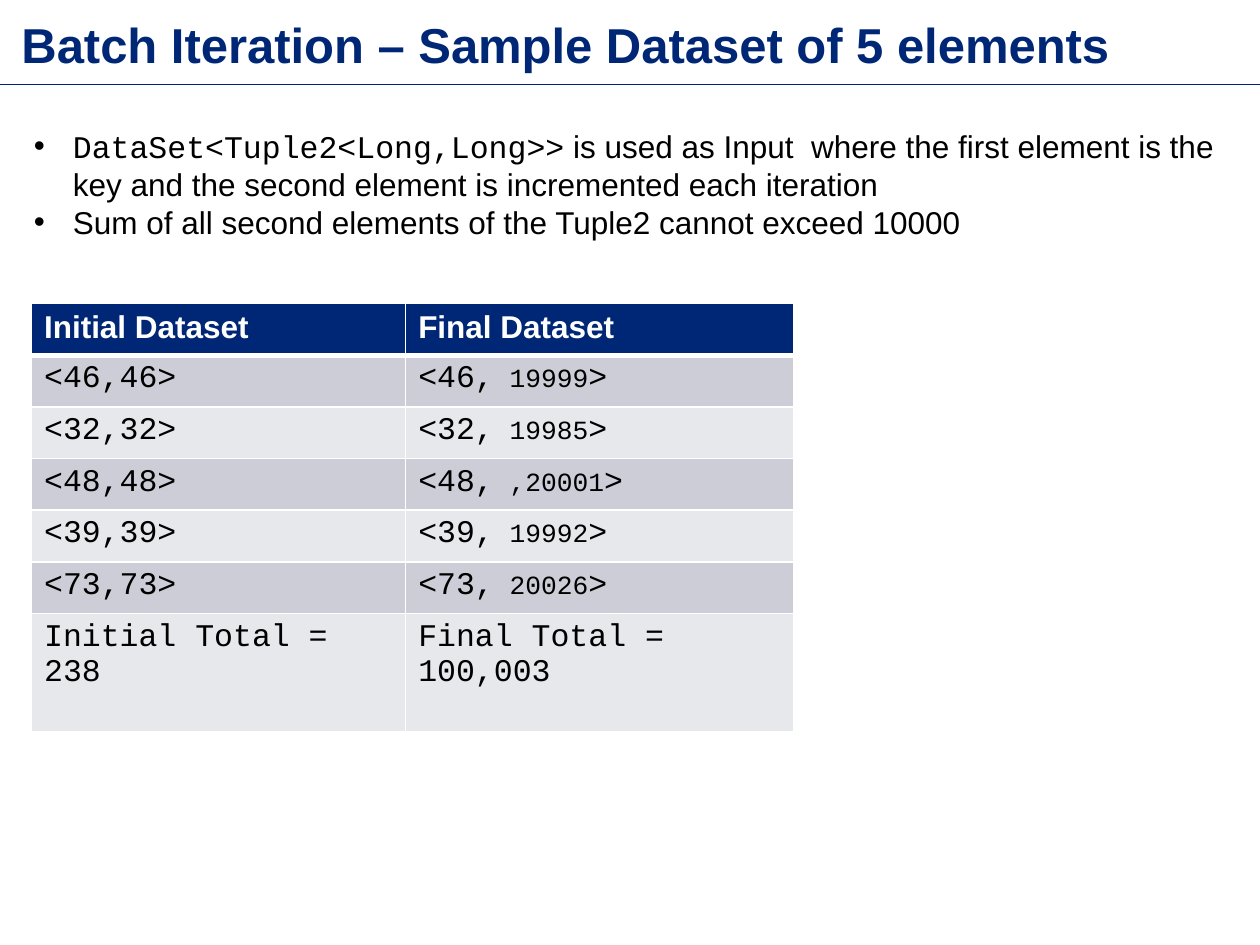
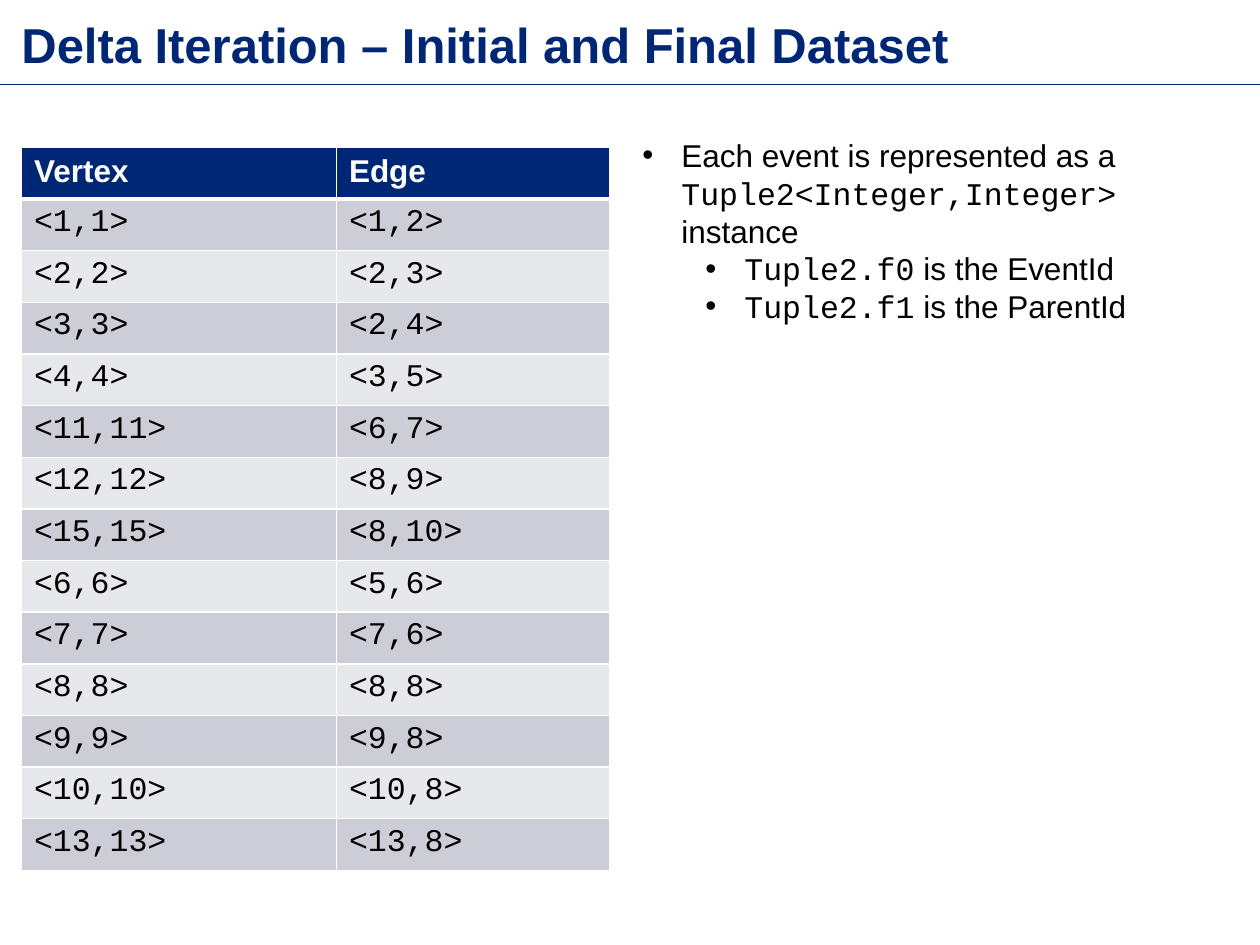
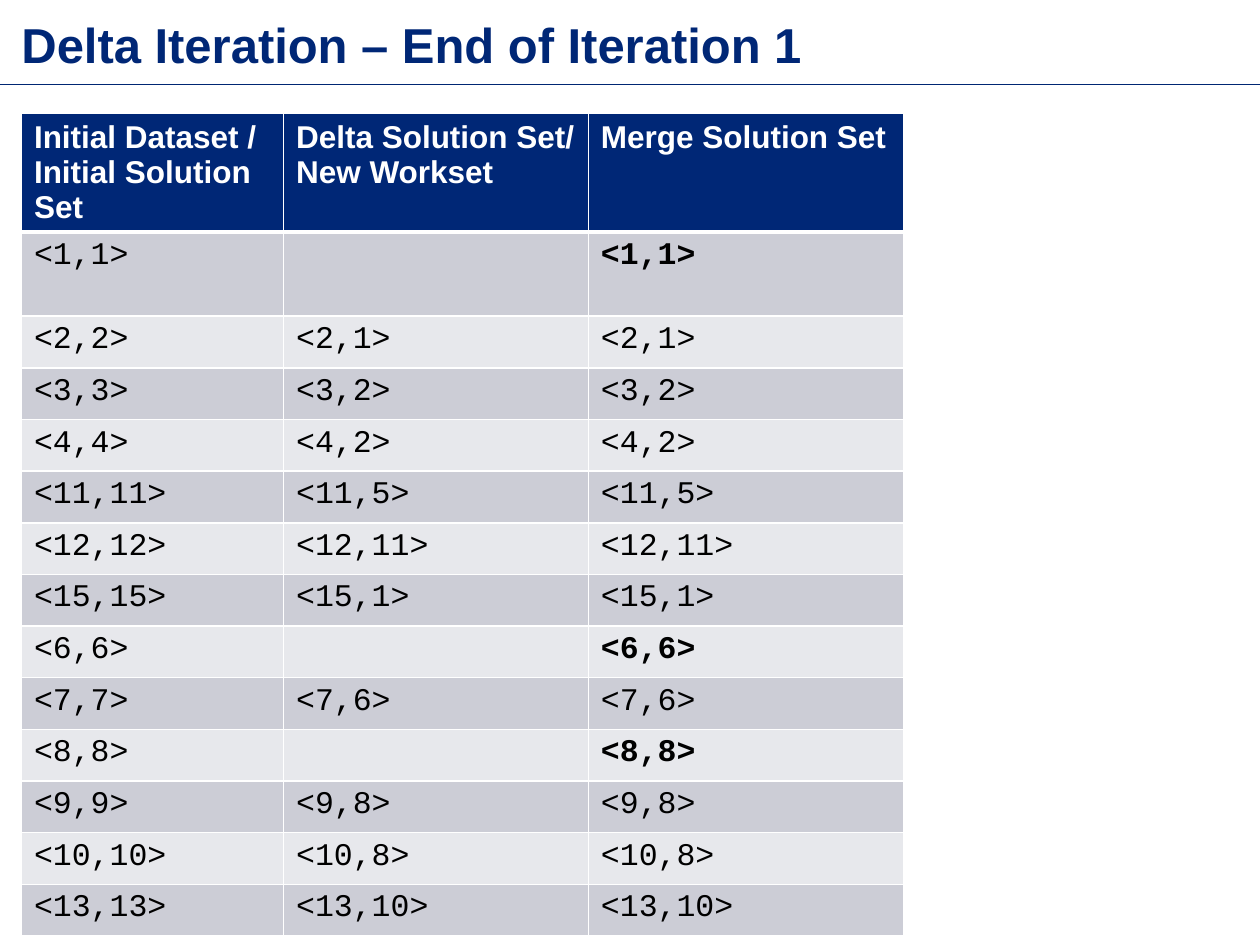
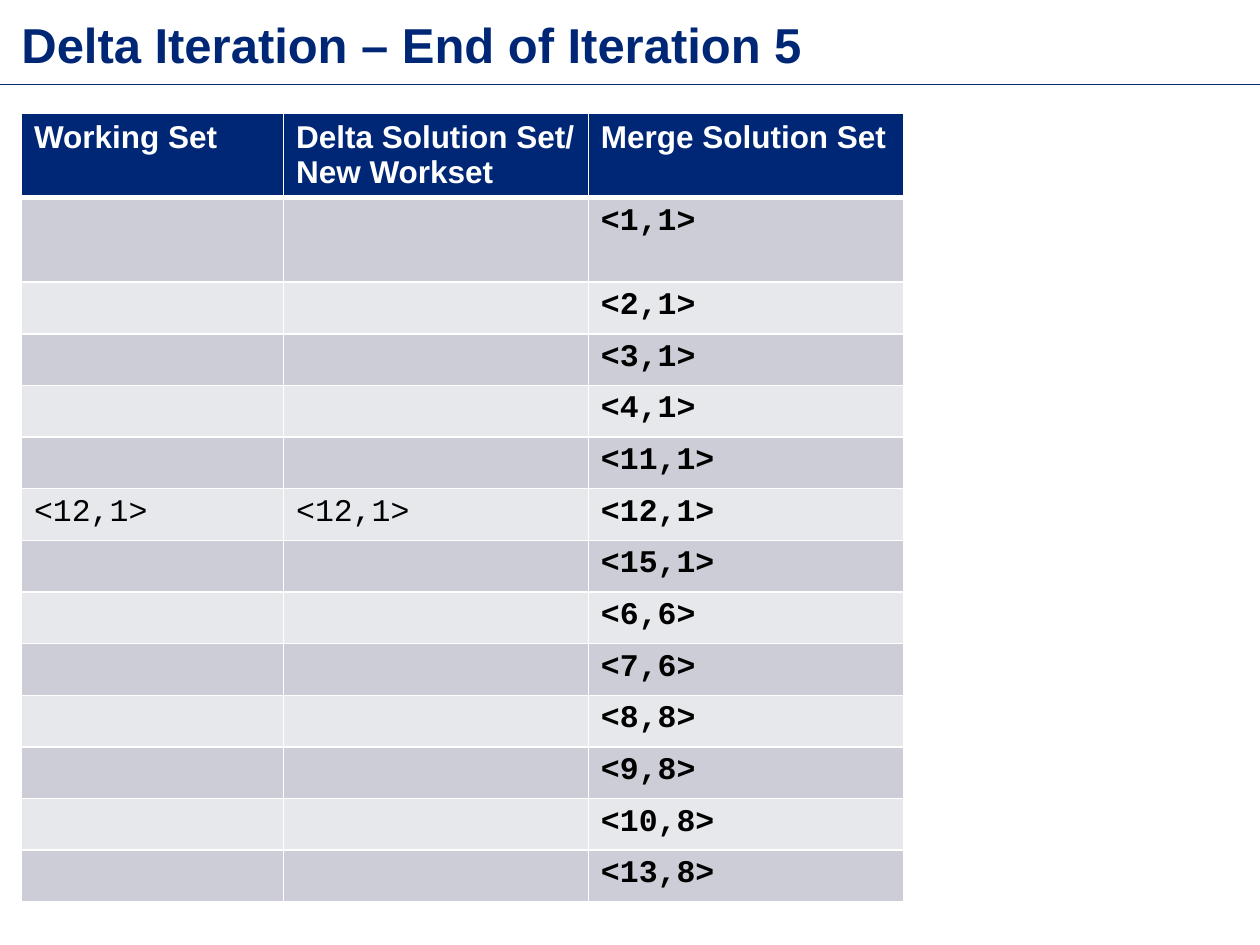
import pptx
import pptx.dml.color
import pptx.enum.shapes
import pptx.enum.text
import pptx.oxml.ns
import pptx.util
from lxml import etree
from pptx.dml.color import RGBColor
from pptx.util import Inches

NAVY = RGBColor(0x00, 0x27, 0x76)
RULE_BLUE = RGBColor(0x00, 0x26, 0x73)
WHITE = RGBColor(0xFF, 0xFF, 0xFF)
BLACK = RGBColor(0x00, 0x00, 0x00)
BANDS = (RGBColor(0xCC, 0xCD, 0xD6), RGBColor(0xE7, 0xE8, 0xEC))
SANS = "Arial"
MONO = "Courier New"
TITLE_ONLY = 5
ROW_HEIGHT = 0.41
TALL_ROW = 0.67
TALLEST_ROW = 0.94
LEFT = 0.17
SOLUTION_COLUMNS = (2.08, 2.42, 2.5)

TOTALS = [
    ("46", "19999"), ("32", "19985"), ("48", ",20001"), ("39", "19992"), ("73", "20026"),
]
EVENTS = [1, 2, 3, 4, 11, 12, 15, 6, 7, 8, 9, 10, 13]
EDGES = [
    "<1,2>", "<2,3>", "<2,4>", "<3,5>", "<6,7>", "<8,9>", "<8,10>",
    "<5,6>", "<7,6>", "<8,8>", "<9,8>", "<10,8>", "<13,8>",
]
FIRST_PARENTS = [1, 1, 2, 2, 5, 11, 1, 6, 6, 8, 8, 8, 10]
LAST_PARENTS = [1, 1, 1, 1, 1, 1, 1, 6, 6, 8, 8, 8, 8]


def add_element(parent, tag, **attributes):
    """Append a drawing element with the given attributes."""
    return etree.SubElement(parent, pptx.oxml.ns.qn(tag), attributes)


def write_span(para, text, font=SANS, size=18, color=BLACK, bold=False):
    """Add one formatted run of text to a paragraph."""
    span = para.add_run()
    span.text = text
    span.font.name = font
    span.font.size = pptx.util.Pt(size)
    span.font.color.rgb = color
    span.font.bold = bold


def code(text, **style):
    """Describe a span of monospaced text."""
    return text, {"font": MONO, **style}


def plain(text, **style):
    """Describe a span of sans-serif text."""
    return text, style


def pair(key, value, **style):
    """Describe a tuple of two values as one cell."""
    return [code(f"<{key},{value}>", **style)]


def start_page(deck, title):
    """Add a slide with its title and the rule below it."""
    page = deck.slides.add_slide(deck.slide_layouts[TITLE_ONLY])
    box = page.shapes.title
    box.left, box.top = Inches(LEFT), Inches(0.17)
    box.width, box.height = Inches(9.11), Inches(0.29)
    frame = box.text_frame
    frame.margin_left = frame.margin_top = frame.margin_right = frame.margin_bottom = 0
    frame.vertical_anchor = pptx.enum.text.MSO_ANCHOR.TOP
    frame.auto_size = pptx.enum.text.MSO_AUTO_SIZE.NONE
    para = frame.paragraphs[0]
    para.alignment = pptx.enum.text.PP_ALIGN.LEFT
    para.line_spacing = 0.9
    write_span(para, title, size=28, color=NAVY, bold=True)

    rule = page.shapes.add_connector(
        pptx.enum.shapes.MSO_CONNECTOR.STRAIGHT,
        0, Inches(0.67), Inches(10), Inches(0.67))
    rule.line.color.rgb = RULE_BLUE
    rule.line.width = pptx.util.Pt(0.75)
    add_element(rule._element.spPr, "a:effectLst")
    return page


def add_bullets(page, left, top, width, height, bullets):
    """Add a text box of bullets, each a level and a list of spans."""
    box = page.shapes.add_textbox(Inches(left), Inches(top), Inches(width), Inches(height))
    frame = box.text_frame
    frame.word_wrap = True
    frame.auto_size = pptx.enum.text.MSO_AUTO_SIZE.SHAPE_TO_FIT_TEXT
    for index, (level, spans) in enumerate(bullets):
        para = frame.add_paragraph() if index else frame.paragraphs[0]
        para.level = level
        properties = para._p.get_or_add_pPr()
        properties.set("marL", str(Inches(0.31 + 0.5 * level)))
        properties.set("indent", str(Inches(-0.31)))
        add_element(properties, "a:buFont", typeface=SANS)
        add_element(properties, "a:buChar", char="•")
        for text, style in spans:
            write_span(para, text, **style)


def draw_borders(cell, top, bottom):
    """Draw white borders around a cell, with top and bottom widths in points."""
    properties = cell._tc.get_or_add_tcPr()
    for side, width in (("L", 1), ("R", 1), ("T", top), ("B", bottom)):
        line = add_element(properties, f"a:ln{side}", w=str(pptx.util.Pt(width)))
        add_element(add_element(line, "a:solidFill"), "a:srgbClr", val=str(WHITE))


def add_dataset_table(page, left, top, columns, headers, rows, heights=None):
    """Add a banded table; heights maps row numbers to special heights."""
    heights = heights or {}
    row_heights = [heights.get(number, ROW_HEIGHT) for number in range(len(rows) + 1)]
    table = page.shapes.add_table(
        len(row_heights), len(columns), Inches(left), Inches(top),
        Inches(sum(columns)), Inches(sum(row_heights))).table
    for column, width in zip(table.columns, columns):
        column.width = Inches(width)
    for row, height in zip(table.rows, row_heights):
        row.height = Inches(height)
    header_row = [[plain(text, color=WHITE, bold=True)] for text in headers]
    for number, contents in enumerate([header_row] + rows):
        for column, spans in enumerate(contents):
            cell = table.cell(number, column)
            draw_borders(cell, 3 if number == 1 else 1, 1 if number else 3)
            cell.fill.solid()
            cell.fill.fore_color.rgb = BANDS[(number - 1) % 2] if number else NAVY
            for text, style in spans:
                for index, line in enumerate(text.split("\n")):
                    frame = cell.text_frame
                    para = frame.add_paragraph() if index else frame.paragraphs[0]
                    write_span(para, line, **style)


def build_batch_page(deck):
    """Show the batch dataset before and after the iteration."""
    page = start_page(deck, "Batch Iteration – Sample Dataset of 5 elements")
    rows = [
        [pair(key, key), [code(f"<{key},"), code(f" {total}", size=15), code(">")]]
        for key, total in TOTALS
    ]
    rows.append([[code("Initial Total = 238")], [code("Final Total = 100,003")]])
    add_dataset_table(page, 0.25, 2.41, (2.97, 3.08),
                      ["Initial Dataset", "Final Dataset"], rows, {6: TALLEST_ROW})
    add_bullets(page, LEFT, 0.96, 9.58, 1.01, [
        (0, [code("DataSet<Tuple2<Long,Long>>"),
             plain(" is used as Input  where the first element is the key and "
                   "the second element is incremented each iteration")]),
        (0, [plain("Sum of all second elements of the Tuple2 cannot exceed 10000")]),
    ])


def build_delta_input_page(deck):
    """Show the vertices and edges that the delta iteration starts from."""
    page = start_page(deck, "Delta Iteration – Initial and Final Dataset")
    add_bullets(page, 5, 1.03, 4.58, 1.62, [
        (0, [plain("Each event is represented as a "),
             code("Tuple2<Integer,Integer>"), plain(" instance")]),
        (1, [code("Tuple2.f0"), plain(" is the EventId")]),
        (1, [code("Tuple2.f1"), plain(" is the ParentId")]),
    ])
    rows = [[pair(event, event), [code(edge)]] for event, edge in zip(EVENTS, EDGES)]
    add_dataset_table(page, LEFT, 1.17, (2.5, 2.17), ["Vertex", "Edge"], rows)


def build_solution_page(deck, iteration, first_header, rows, header_height):
    """Show the solution sets at the end of one iteration."""
    page = start_page(deck, f"Delta Iteration – End of Iteration {iteration}")
    headers = [first_header, "Delta Solution Set/ New Workset", "Merge Solution Set"]
    add_dataset_table(page, LEFT, 0.9, SOLUTION_COLUMNS, headers, rows,
                      {0: header_height, 1: TALL_ROW})


def main():
    """Build the deck and save it."""
    deck = pptx.Presentation()
    deck.slide_width, deck.slide_height = Inches(10), Inches(7.5)
    build_batch_page(deck)
    build_delta_input_page(deck)

    first_rows = [
        [pair(event, event),
         [] if event == parent else pair(event, parent),
         pair(event, parent, bold=event == parent)]
        for event, parent in zip(EVENTS, FIRST_PARENTS)
    ]
    build_solution_page(deck, 1, "Initial Dataset /\nInitial Solution Set",
                        first_rows, TALLEST_ROW)

    last_rows = []
    for event, parent in zip(EVENTS, LAST_PARENTS):
        working = pair(event, parent) if event == 12 else []
        last_rows.append([working, working, pair(event, parent, bold=True)])
    build_solution_page(deck, 5, "Working Set", last_rows, TALL_ROW)
    deck.save("out.pptx")


if __name__ == "__main__":
    main()
